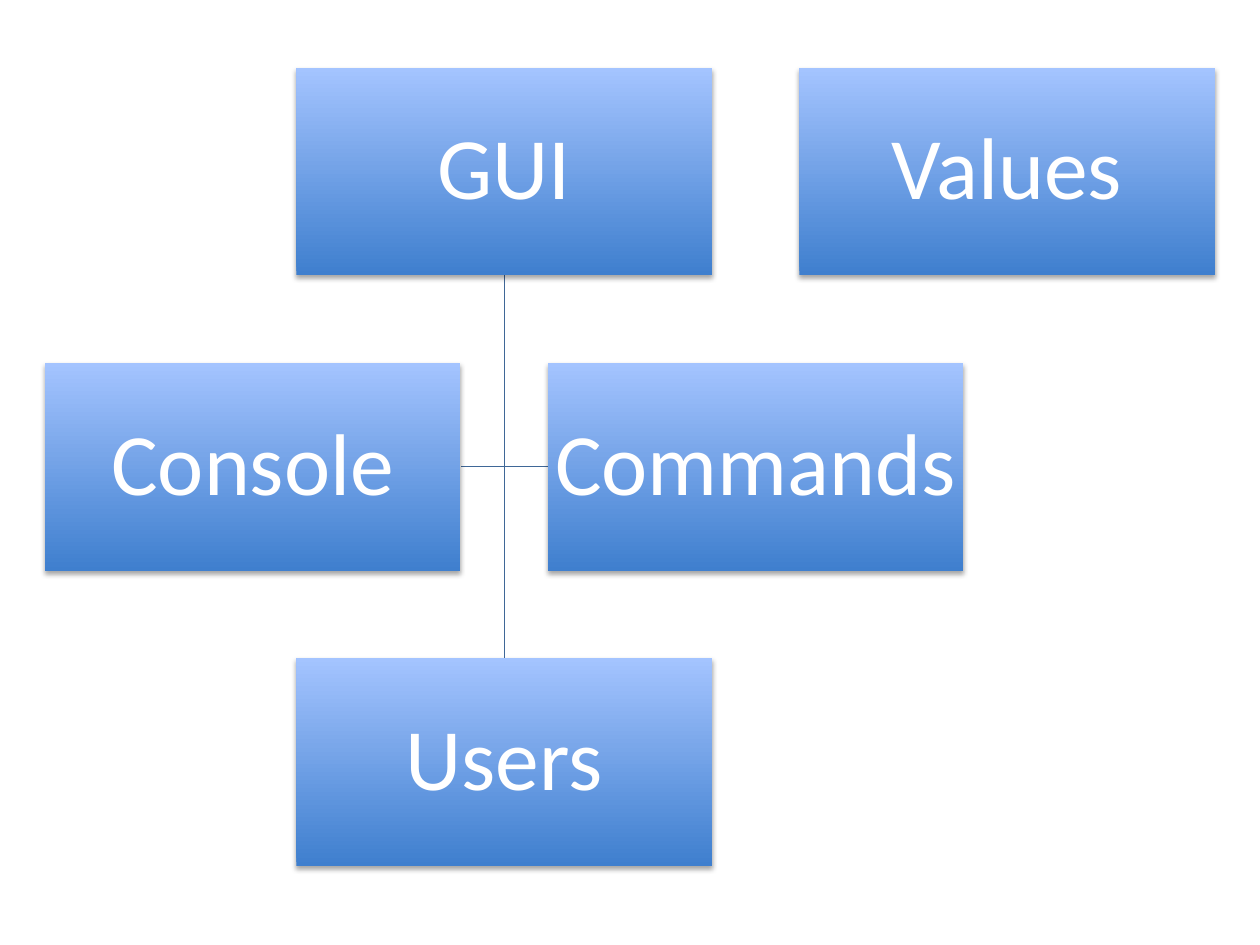
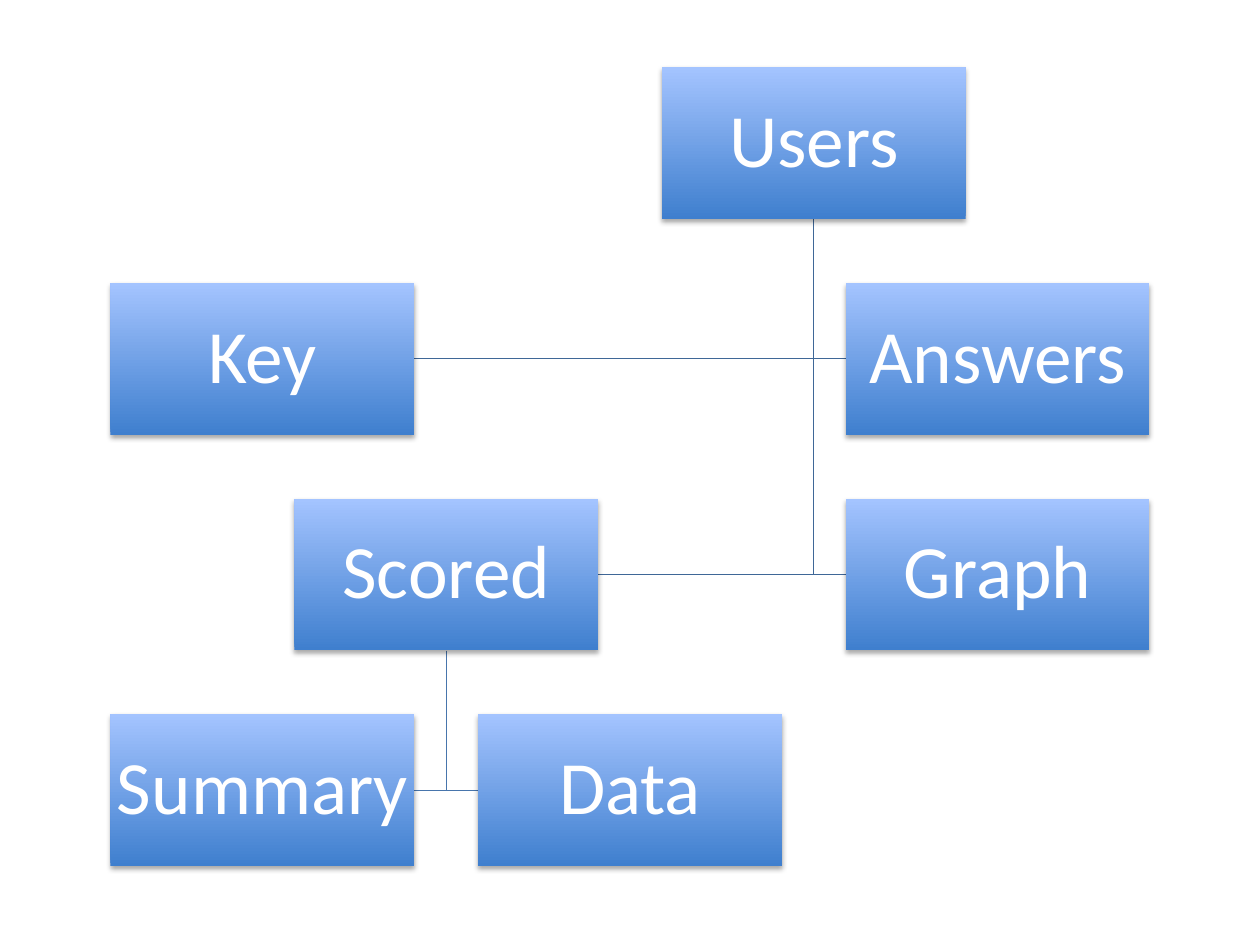
from dataclasses import dataclass

from lxml import etree
from pptx import Presentation
from pptx.dml.color import RGBColor
from pptx.enum import shapes, text
from pptx.oxml import ns
from pptx.slide import Slide
from pptx.util import Pt


@dataclass(frozen=True)
class Theme:
    font: str = "Calibri"
    label: RGBColor = RGBColor(0xFF, 0xFF, 0xFF)
    box_bottom: RGBColor = RGBColor(0x3F, 0x7F, 0xCE)
    box_top: RGBColor = RGBColor(0xA4, 0xC4, 0xFF)
    first_level: RGBColor = RGBColor(0x3F, 0x67, 0x97)
    second_level: RGBColor = RGBColor(0x48, 0x75, 0xAC)
    large: float = 50
    medium: float = 43
    line_width: float = 0.75
    inset: float = 2.2


@dataclass(frozen=True)
class Node:
    label: str
    column: int
    row: int


@dataclass(frozen=True)
class Link:
    parent: Node
    child: Node
    color: RGBColor


@dataclass(frozen=True)
class Chart:
    nodes: list[Node]
    links: list[Link]
    box_width: float
    label_size: float

    @property
    def box_height(self) -> float:
        return self.box_width / 2

    @property
    def gap(self) -> float:
        return self.box_width * 0.21

    def left(self, node: Node) -> float:
        half_step = (self.box_width + self.gap) / 2
        columns = max(n.column for n in self.nodes)
        return (SLIDE_WIDTH - self.box_width - columns * half_step) / 2 + node.column * half_step

    def top(self, node: Node) -> float:
        step = self.box_height + self.gap
        rows = max(n.row for n in self.nodes)
        return CHART_MIDDLE - (self.box_height + rows * step) / 2 + node.row * step


THEME = Theme()
SLIDE_WIDTH, SLIDE_HEIGHT = 720, 540
CHART_MIDDLE = 266.7


def draw_link(slide: Slide, chart: Chart, link: Link) -> None:
    center = chart.left(link.parent) + chart.box_width / 2
    start = chart.top(link.parent) + chart.box_height
    side = chart.left(link.child)
    end = chart.top(link.child)
    if link.parent.column == link.child.column:
        branch = slide.shapes.add_connector(
            shapes.MSO_CONNECTOR.STRAIGHT, Pt(center), Pt(start), Pt(center), Pt(end))
        etree.SubElement(branch._element.spPr, ns.qn("a:effectLst"))
    else:
        if link.child.column < link.parent.column:
            side += chart.box_width
        end += chart.box_height / 2
        elbow = slide.shapes.build_freeform(Pt(center), Pt(start))
        elbow.add_line_segments([(Pt(center), Pt(end)), (Pt(side), Pt(end))], close=False)
        branch = elbow.convert_to_shape()
        branch.fill.background()
        branch.shadow.inherit = False
    branch.line.color.rgb = link.color
    branch.line.width = Pt(THEME.line_width)


def draw_node(slide: Slide, chart: Chart, node: Node) -> None:
    box = slide.shapes.add_shape(
        shapes.MSO_SHAPE.RECTANGLE, Pt(chart.left(node)), Pt(chart.top(node)),
        Pt(chart.box_width), Pt(chart.box_height))
    box.line.fill.background()
    box.fill.gradient()
    box.fill.gradient_angle = 90
    for stop, color in zip(box.fill.gradient_stops, (THEME.box_bottom, THEME.box_top)):
        stop.color.rgb = color
    box.fill.gradient_stops[0].position = 0
    box.fill.gradient_stops[1].position = 1

    box.shadow.inherit = False
    effects = box._element.spPr.find(ns.qn("a:effectLst"))
    shadow = etree.SubElement(
        effects, ns.qn("a:outerShdw"), blurRad=str(Pt(3.1)), dist=str(Pt(1.8)),
        dir="5400000", rotWithShape="0")
    black = etree.SubElement(shadow, ns.qn("a:srgbClr"), val="000000")
    etree.SubElement(black, ns.qn("a:alpha"), val="35000")

    frame = box.text_frame
    frame.text = node.label
    frame.word_wrap = True
    frame.vertical_anchor = text.MSO_ANCHOR.MIDDLE
    frame.margin_left = frame.margin_right = Pt(THEME.inset)
    frame.margin_top = frame.margin_bottom = Pt(THEME.inset)
    label = frame.paragraphs[0]
    label.alignment = text.PP_ALIGN.CENTER
    label.line_spacing = 0.9
    font = label.runs[0].font
    font.name = THEME.font
    font.size = Pt(chart.label_size)
    font.color.rgb = THEME.label


def draw_chart(deck, chart: Chart) -> None:
    slide = deck.slides.add_slide(deck.slide_layouts.get_by_name("Blank"))
    for link in chart.links:
        draw_link(slide, chart, link)
    for node in chart.nodes:
        draw_node(slide, chart, node)


def program_chart() -> Chart:
    gui = Node("GUI", 1, 0)
    users = Node("Users", 1, 2)
    console = Node("Console", 0, 1)
    commands = Node("Commands", 2, 1)
    values = Node("Values", 3, 0)
    links = [Link(gui, child, THEME.first_level) for child in (commands, console, users)]
    return Chart([gui, users, console, commands, values], links, 237.5, THEME.large)


def users_chart() -> Chart:
    users = Node("Users", 3, 0)
    key = Node("Key", 0, 1)
    answers = Node("Answers", 4, 1)
    scored = Node("Scored", 1, 2)
    summary = Node("Summary", 0, 3)
    data = Node("Data", 2, 3)
    graph = Node("Graph", 4, 2)
    links = [Link(users, child, THEME.first_level) for child in (graph, scored, answers, key)]
    links += [Link(scored, child, THEME.second_level) for child in (data, summary)]
    return Chart([users, key, answers, scored, summary, data, graph], links, 173.6, THEME.medium)


deck = Presentation()
deck.slide_width, deck.slide_height = Pt(SLIDE_WIDTH), Pt(SLIDE_HEIGHT)
for chart in (program_chart(), users_chart()):
    draw_chart(deck, chart)
deck.save("out.pptx")
